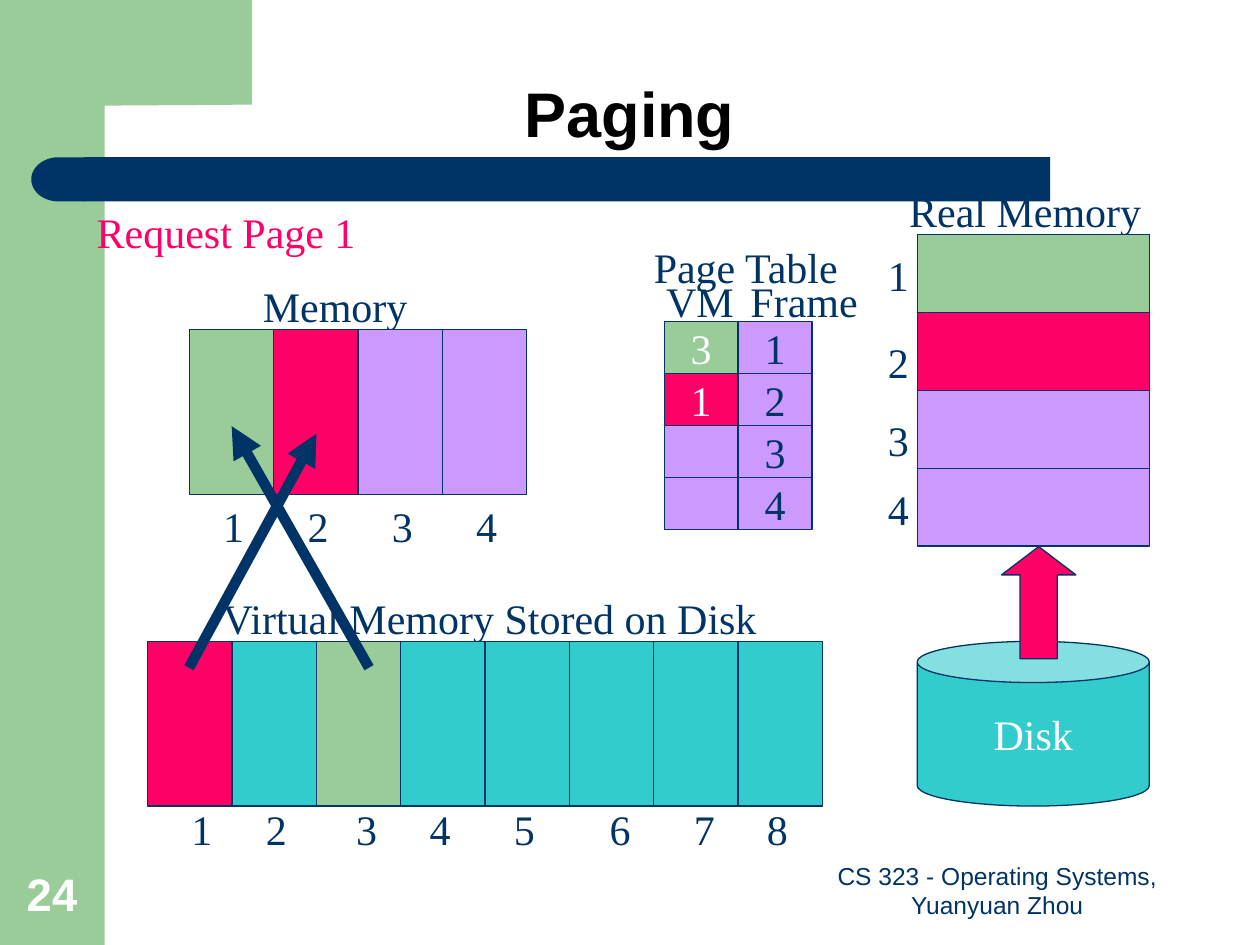
from typing import NamedTuple, Optional

import pptx
import pptx.dml.color
import pptx.enum.shapes
import pptx.enum.text
import pptx.oxml
import pptx.oxml.ns
import pptx.util

Cm = pptx.util.Cm
Pt = pptx.util.Pt
SHAPES = pptx.enum.shapes.MSO_SHAPE
ANCHOR = pptx.enum.text.MSO_ANCHOR
ALIGN = pptx.enum.text.PP_ALIGN

COLORS = {
    "navy": "003366", "green": "99CC99", "red": "FF0066", "violet": "CC99FF",
    "teal": "33CCCC", "white": "FFFFFF", "black": "000000",
}


class Area(NamedTuple):
    """Left, top, width and height in centimetres."""
    left: float
    top: float
    width: float
    height: float

    def lengths(self) -> list:
        return [Cm(value) for value in self]

    def moved(self, columns: int = 0, rows: int = 0) -> "Area":
        """The area that many cells to the right and down."""
        return self._replace(left=self.left + columns * self.width,
                             top=self.top + rows * self.height)


class Style(NamedTuple):
    size: int = 24
    color: str = "navy"
    font: str = "Times New Roman"
    bold: bool = False
    align: ALIGN = ALIGN.LEFT
    anchor: ANCHOR = ANCHOR.TOP
    wrap: bool = False
    spacing: Optional[float] = None


class Label(NamedTuple):
    text: str
    left: float
    top: float
    width: float
    color: str = "navy"


class Arrow(NamedTuple):
    start_x: float
    start_y: float
    end_x: float
    end_y: float


LABEL_HEIGHT = 1.27
DIGIT_WIDTH = 0.91
VIRTUAL_PAGE = Area(2.98, 12.93, 1.70, 3.32)
MEMORY_PAGE = Area(3.82, 6.65, 1.70, 3.32)
TABLE_CELL = Area(13.39, 6.48, 1.49, 1.05)
REAL_FRAME = Area(18.49, 4.73, 4.68, 1.57)
DISK = Area(18.49, 12.93, 4.68, 3.32)

VIRTUAL_COLORS = ["red", "teal", "green"] + ["teal"] * 5
MEMORY_COLORS = ["green", "red", "violet", "violet"]
PAGE_TABLE = [("3", "1"), ("1", "2"), ("", "3"), ("", "4")]

CAPTIONS = [
    Label("Memory", 5.05, 5.54, 3.43),
    Label("Virtual Memory Stored on Disk", 4.24, 11.81, 11.40),
    Label("Page Table", 12.93, 4.74, 4.35),
    Label("VM", 13.18, 5.42, 2.10),
    Label("Frame", 14.88, 5.42, 2.77),
    Label("Real Memory", 18.08, 3.61, 5.25),
    Label("Request Page 1", 1.70, 4.04, 5.80, "red"),
]
VIRTUAL_NUMBER_LEFTS = [3.61, 5.11, 6.93, 8.41, 10.11, 12.04, 13.74, 15.21]
REAL_NUMBER_TOPS = [4.91, 6.65, 8.23, 9.63]
NUMBERS = (
    [Label(str(n), left, 16.08, DIGIT_WIDTH)
     for n, left in enumerate(VIRTUAL_NUMBER_LEFTS, 1)]
    + [Label(str(n + 1), 4.25 + n * MEMORY_PAGE.width, 9.96, DIGIT_WIDTH)
       for n in range(len(MEMORY_COLORS))]
    + [Label(str(n), 17.65, top, DIGIT_WIDTH)
       for n, top in enumerate(REAL_NUMBER_TOPS, 1)]
)
ARROWS = [Arrow(7.44, 13.46, 4.67, 8.59), Arrow(3.81, 13.46, 6.38, 8.74)]
# Corner points in hundredths of a centimetre
CORNER = [(508, 0), (508, 211), (211, 213), (180, 234), (170, 295),
          (170, 325), (127, 325), (127, 0)]


def rgb(name: str) -> pptx.dml.color.RGBColor:
    return pptx.dml.color.RGBColor.from_string(COLORS[name])


def write(shape, text: str, style: Style) -> None:
    frame = shape.text_frame
    frame.word_wrap = style.wrap
    frame.vertical_anchor = style.anchor
    para = frame.paragraphs[0]
    para.text = text
    para.alignment = style.align
    para.line_spacing = style.spacing
    para.font.name = style.font
    para.font.size = Pt(style.size)
    para.font.bold = style.bold
    para.font.color.rgb = rgb(style.color)


def paint(shape, fill: str, outlined: bool) -> None:
    shape.shadow.inherit = False
    shape.fill.solid()
    shape.fill.fore_color.rgb = rgb(fill)
    if outlined:
        shape.line.color.rgb = rgb("navy")
        shape.line.width = Pt(0.75)
    else:
        shape.line.fill.background()


def draw_shape(page, kind: SHAPES, area: Area, fill: str, outlined: bool = True):
    shape = page.shapes.add_shape(kind, *area.lengths())
    paint(shape, fill, outlined)
    return shape


def draw_text(page, text: str, area: Area, style: Style) -> None:
    write(page.shapes.add_textbox(*area.lengths()), text, style)


def draw_arrow(page, arrow: Arrow) -> None:
    line = page.shapes.add_connector(
        pptx.enum.shapes.MSO_CONNECTOR.STRAIGHT, *[Cm(value) for value in arrow])
    line.line.color.rgb = rgb("navy")
    line.line.width = Pt(6)
    head = pptx.oxml.parse_xml(
        f'<a:tailEnd {pptx.oxml.ns.nsdecls("a")} type="triangle"/>')
    line.line._get_or_add_ln().append(head)
    line._element.spPr.append(
        pptx.oxml.parse_xml(f'<a:effectLst {pptx.oxml.ns.nsdecls("a")}/>'))


def draw_background(page) -> None:
    draw_shape(page, SHAPES.RECTANGLE, Area(0, 0, 2.11, 19.05), "green", False)
    builder = page.shapes.build_freeform(*CORNER[0], scale=Cm(0.01))
    builder.add_line_segments(CORNER[1:], close=True)
    paint(builder.convert_to_shape(), "green", False)
    draw_shape(page, SHAPES.RECTANGLE, Area(1.70, 3.17, 19.47, 0.89), "navy", False)
    cap = draw_shape(page, SHAPES.FLOWCHART_DELAY, Area(0.63, 3.17, 1.09, 0.89),
                     "navy", False)
    cap.rotation = 180


def draw_page_table(page) -> None:
    for row, (virtual_page, frame) in enumerate(PAGE_TABLE):
        cells = [(virtual_page, MEMORY_COLORS[row], "white"),
                 (frame, "violet", "navy")]
        for column, (text, fill, color) in enumerate(cells):
            cell = draw_shape(page, SHAPES.RECTANGLE,
                              TABLE_CELL.moved(column, row), fill)
            if text:
                write(cell, text, Style(color=color, align=ALIGN.CENTER,
                                        anchor=ANCHOR.MIDDLE))


def draw_memories(page) -> None:
    for index, fill in enumerate(VIRTUAL_COLORS):
        draw_shape(page, SHAPES.RECTANGLE, VIRTUAL_PAGE.moved(columns=index), fill)
    for index, fill in enumerate(MEMORY_COLORS):
        draw_shape(page, SHAPES.RECTANGLE, MEMORY_PAGE.moved(columns=index), fill)
        draw_shape(page, SHAPES.RECTANGLE, REAL_FRAME.moved(rows=index), fill)


def draw_disk(page) -> None:
    disk = draw_shape(page, SHAPES.CAN, DISK, "teal")
    write(disk, "Disk", Style(color="white", align=ALIGN.CENTER, anchor=ANCHOR.MIDDLE))
    load = draw_shape(page, SHAPES.UP_ARROW, Area(20.19, 11.02, 1.50, 2.26), "red")
    load.adjustments[0] = 0.5
    load.adjustments[1] = 0.38


def main() -> None:
    deck = pptx.Presentation()
    deck.slide_width, deck.slide_height = Cm(25.4), Cm(19.05)
    page = deck.slides.add_slide(deck.slide_layouts[6])
    draw_background(page)
    draw_text(page, "Paging", Area(1.90, 0, 21.59, 3.17),
              Style(36, "black", "Arial", True, ALIGN.CENTER, ANCHOR.BOTTOM, True, 0.9))
    for label in CAPTIONS + NUMBERS:
        draw_text(page, label.text,
                  Area(label.left, label.top, label.width, LABEL_HEIGHT),
                  Style(color=label.color))
    draw_page_table(page)
    draw_memories(page)
    draw_disk(page)
    for arrow in ARROWS:
        draw_arrow(page, arrow)
    draw_text(page, "CS 323 - Operating Systems, Yuanyuan Zhou",
              Area(16.08, 17.35, 8.05, 1.32),
              Style(14, "navy", "Arial", False, ALIGN.CENTER, ANCHOR.BOTTOM, True))
    draw_text(page, "24", Area(0.29, 17.33, 1.63, 1.35),
              Style(26, "white", "Arial", True, ALIGN.LEFT, ANCHOR.BOTTOM, True))
    deck.save("out.pptx")


if __name__ == "__main__":
    main()
